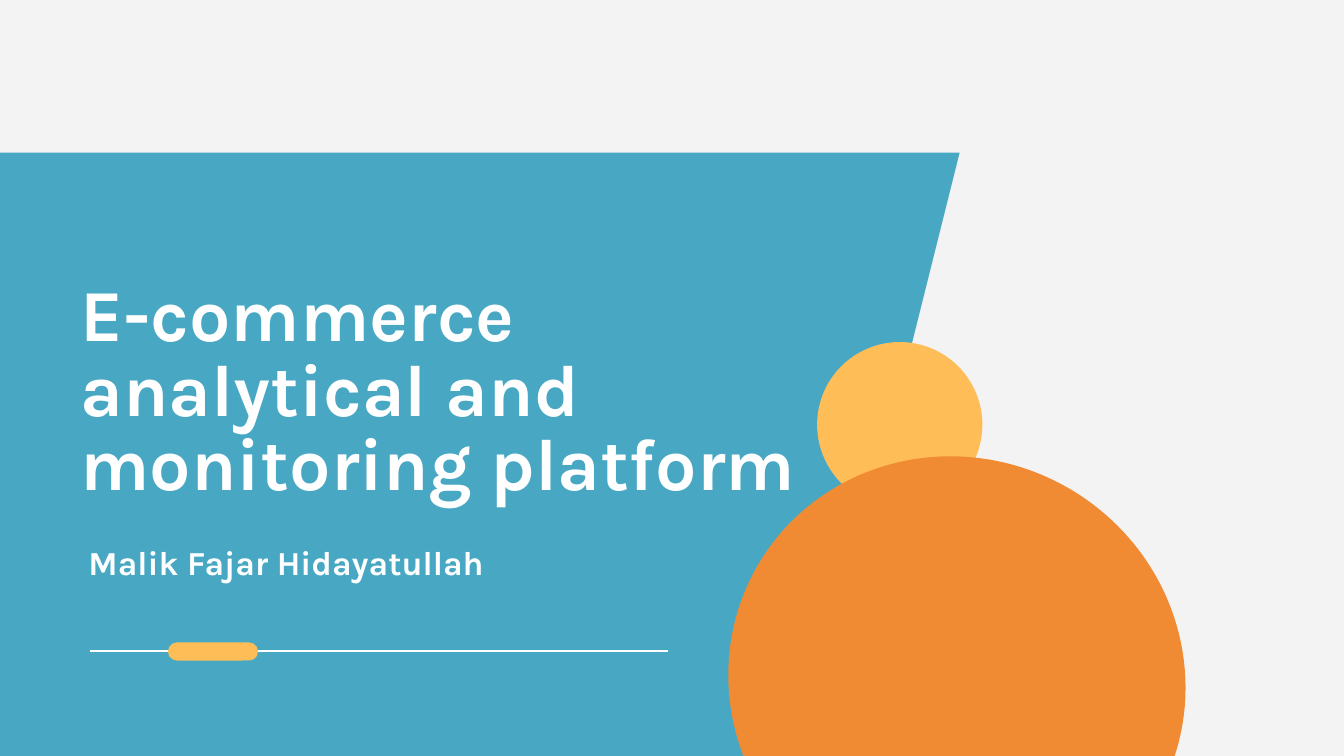
from dataclasses import dataclass

from lxml import etree
from pptx import Presentation
from pptx.dml.color import RGBColor
from pptx.enum.shapes import MSO_CONNECTOR, MSO_SHAPE
from pptx.enum.text import MSO_ANCHOR, PP_ALIGN
from pptx.oxml.ns import qn
from pptx.slide import Slide
from pptx.util import Emu, Pt

PARALLELOGRAM = MSO_SHAPE.PARALLELOGRAM
PILL = MSO_SHAPE.ROUNDED_RECTANGLE
ELLIPSE = MSO_SHAPE.OVAL
STRAIGHT = MSO_CONNECTOR.STRAIGHT
TOP = MSO_ANCHOR.TOP
MIDDLE = MSO_ANCHOR.MIDDLE
LEFT = PP_ALIGN.LEFT

EMU_PER_PX = 4572
SLIDE_WIDTH = 2000
SLIDE_HEIGHT = 1125
FONT = "Karla"
COLORS = {
    "background": "F3F3F3",
    "panel": "48A8C4",
    "yellow": "FFBD58",
    "orange": "F08B33",
    "white": "FFFFFF",
}


@dataclass(frozen=True)
class Figure:
    kind: MSO_SHAPE
    left: int
    top: int
    width: int
    height: int
    color: str
    adjustment: float | None = None
    rotation: float = 0


@dataclass(frozen=True)
class Caption:
    text: str
    left: int
    top: int
    width: int
    height: int
    size: float
    anchor: MSO_ANCHOR
    line_spacing: float = 1.0
    space_before: float = 0
    right_inset: int = 20


PANEL = Figure(PARALLELOGRAM, -230, 227, 1658, 898, "panel", 0.25)
ACCENTS = [
    Figure(PILL, 250, 956, 134, 27, "yellow", 0.5),
    Figure(ELLIPSE, 1216, 509, 246, 246, "yellow", rotation=327.1),
    Figure(ELLIPSE, 1092, 671, 664, 686, "orange", rotation=300.4),
]
AUTHOR = Caption("Malik Fajar Hidayatullah", 112, 796, 1048, 174, 18, TOP, space_before=6.4)
TITLE = Caption(
    "E-commerce analytical and monitoring platform",
    100, 391, 1226, 390, 39.2, MIDDLE, line_spacing=0.85, right_inset=40,
)


def px(length: int) -> Emu:
    return Emu(length * EMU_PER_PX)


def color(name: str) -> RGBColor:
    return RGBColor.from_string(COLORS[name])


def draw_figure(page: Slide, figure: Figure) -> None:
    shape = page.shapes.add_shape(
        figure.kind, px(figure.left), px(figure.top), px(figure.width), px(figure.height)
    )
    shape.shadow.inherit = False
    shape.fill.solid()
    shape.fill.fore_color.rgb = color(figure.color)
    shape.line.fill.background()
    shape.rotation = figure.rotation
    if figure.adjustment is not None:
        shape.adjustments[0] = figure.adjustment


def draw_caption(page: Slide, caption: Caption) -> None:
    box = page.shapes.add_textbox(
        px(caption.left), px(caption.top), px(caption.width), px(caption.height)
    )
    frame = box.text_frame
    frame.word_wrap = True
    frame.vertical_anchor = caption.anchor
    frame.margin_left = px(20)
    frame.margin_right = px(caption.right_inset)
    frame.margin_top = frame.margin_bottom = px(10)
    frame.text = caption.text
    para = frame.paragraphs[0]
    para.alignment = LEFT
    para.line_spacing = caption.line_spacing
    para.space_before = Pt(caption.space_before)
    font = para.runs[0].font
    font.name = FONT
    font.size = Pt(caption.size)
    font.bold = True
    font.color.rgb = color("white")


def draw_rule(page: Slide, left: int, right: int, y: int) -> None:
    rule = page.shapes.add_connector(STRAIGHT, px(left), px(y), px(right), px(y))
    rule.line.color.rgb = color("white")
    rule.line.width = Pt(0.75)
    etree.SubElement(rule._element.spPr, qn("a:effectLst"))


def main() -> None:
    deck = Presentation()
    deck.slide_width, deck.slide_height = px(SLIDE_WIDTH), px(SLIDE_HEIGHT)
    page = deck.slides.add_slide(deck.slide_layouts[6])
    page.background.fill.solid()
    page.background.fill.fore_color.rgb = color("background")

    draw_figure(page, PANEL)
    draw_caption(page, AUTHOR)
    draw_rule(page, 134, 994, 969)
    for accent in ACCENTS:
        draw_figure(page, accent)
    draw_caption(page, TITLE)

    deck.save("out.pptx")


if __name__ == "__main__":
    main()
